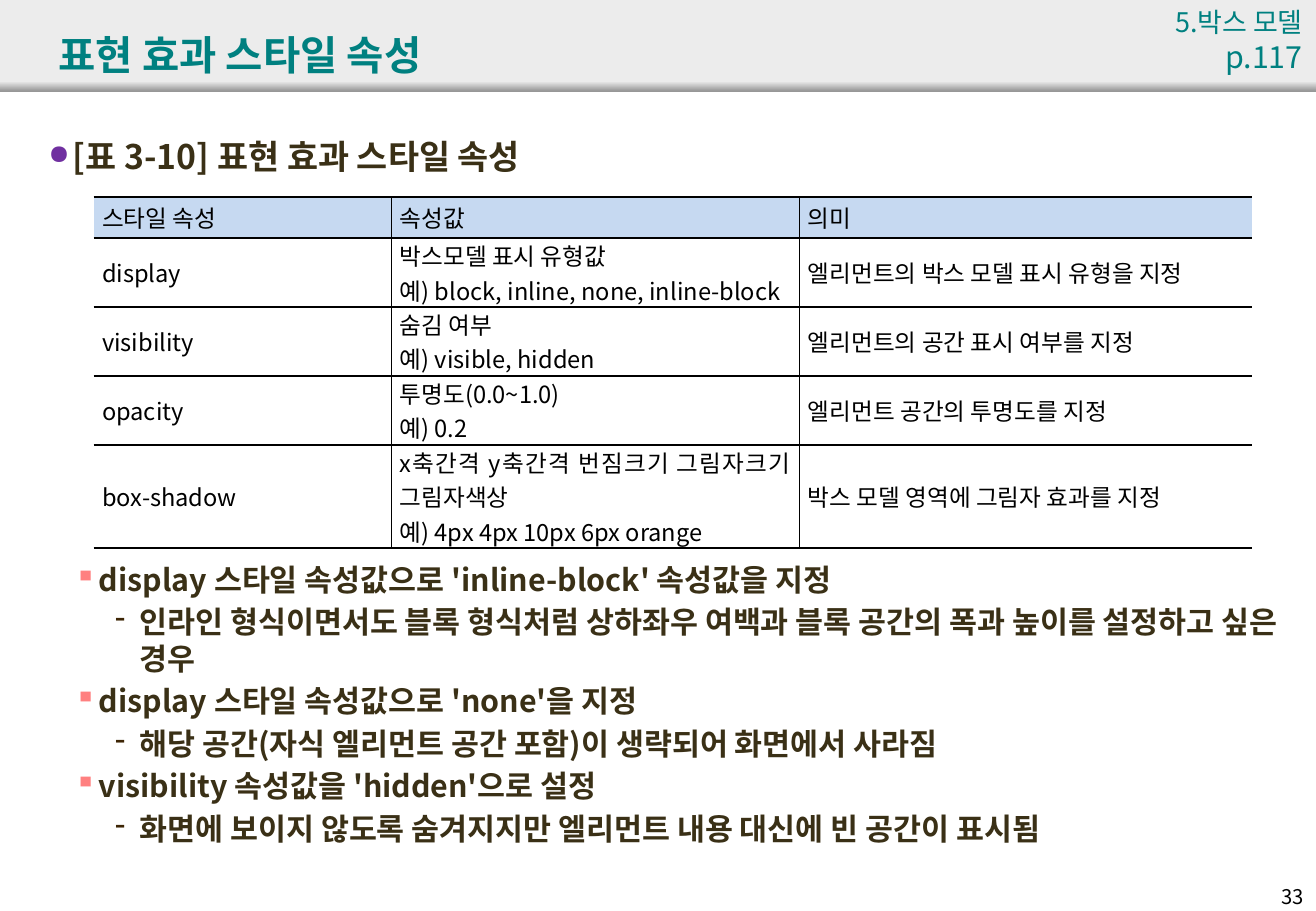
from dataclasses import dataclass

import pptx
import pptx.dml.color
import pptx.enum.shapes
import pptx.enum.text
import pptx.oxml.ns
import pptx.util
from lxml import etree

FONT = "Noto Sans CJK KR"
TEAL, BROWN, BLACK = "008080", "3A3016", "000000"
BAND_GREY, BAND_SHADE, HEADER_BLUE = "ECECEC", "979797", "C6D9F1"
ALIGN = pptx.enum.text.PP_ALIGN
MIDDLE = pptx.enum.text.MSO_ANCHOR.MIDDLE

SLIDE_WIDTH = pptx.util.Inches(10.83)
SLIDE_HEIGHT = pptx.util.Inches(7.5)


@dataclass
class Area:
    """A rectangle in percent of the slide's width and height."""
    left: float
    top: float
    width: float
    height: float


@dataclass
class Bullet:
    character: str
    color: str
    margin: float
    size: int
    percent: int = 100


@dataclass
class Line:
    text: str
    bullet: Bullet


HEADING = Bullet("●", "7030A0", 1.85, 20, 80)
POINT = Bullet("▪", "FF8080", 3.83, 18)
DETAIL = Bullet("-", "3D2505", 6.93, 18)
HANGING = 1.85

HEADING_LINES = [Line("[표 3-10] 표현 효과 스타일 속성", HEADING)]
DETAIL_LINES = [
    Line("display 스타일 속성값으로 'inline-block' 속성값을 지정", POINT),
    Line("인라인 형식이면서도 블록 형식처럼 상하좌우 여백과 블록 공간의 폭과 높이를 설정하고 싶은 경우", DETAIL),
    Line("display 스타일 속성값으로 'none'을 지정", POINT),
    Line("해당 공간(자식 엘리먼트 공간 포함)이 생략되어 화면에서 사라짐", DETAIL),
    Line("visibility 속성값을 'hidden'으로 설정", POINT),
    Line("화면에 보이지 않도록 숨겨지지만 엘리먼트 내용 대신에 빈 공간이 표시됨", DETAIL),
]

TABLE_COLUMNS = [22.62, 31.02, 34.35]
TABLE_ROWS = [4.53, 7.57, 7.57, 7.57, 11.34]
TABLE_TEXT = [
    ("스타일 속성", "속성값", "의미"),
    ("display", "박스모델 표시 유형값\n예) block, inline, none, inline-block",
     "엘리먼트의 박스 모델 표시 유형을 지정"),
    ("visibility", "숨김 여부\n예) visible, hidden", "엘리먼트의 공간 표시 여부를 지정"),
    ("opacity", "투명도(0.0~1.0)\n예) 0.2", "엘리먼트 공간의 투명도를 지정"),
    ("box-shadow", "x축간격 y축간격 번짐크기 그림자크기 그림자색상\n예) 4px 4px 10px 6px orange",
     "박스 모델 영역에 그림자 효과를 지정"),
]


def across(percent: float) -> int:
    return round(SLIDE_WIDTH * percent / 100)


def down(percent: float) -> int:
    return round(SLIDE_HEIGHT * percent / 100)


def box(area: Area) -> tuple[int, int, int, int]:
    return across(area.left), down(area.top), across(area.width), down(area.height)


def rgb(color: str) -> pptx.dml.color.RGBColor:
    return pptx.dml.color.RGBColor.from_string(color)


def add_element(parent, tag: str, **attributes: str):
    return etree.SubElement(parent, pptx.oxml.ns.qn(tag), attributes)


def format_paragraph(paragraph, size: float, color: str, bold: bool = False,
                     alignment=ALIGN.LEFT) -> None:
    """Format every run, with pair kerning off."""
    paragraph.alignment = alignment
    for run in paragraph.runs:
        run.font.size = pptx.util.Pt(size)
        run.font.bold = bold
        run.font.name = FONT
        run.font.color.rgb = rgb(color)
        run.font._element.set("kern", "0")
        add_element(run.font._element, "a:ea", typeface=FONT)


def add_band(slide, area: Area, shaded: bool) -> None:
    band = slide.shapes.add_shape(pptx.enum.shapes.MSO_SHAPE.RECTANGLE, *box(area))
    band.shadow.inherit = False
    band.line.fill.background()
    if shaded:
        band.fill.gradient()
        band.fill.gradient_angle = 270
        for stop, color in zip(band.fill.gradient_stops, (BAND_GREY, BAND_SHADE)):
            stop.color.rgb = rgb(color)
    else:
        band.fill.solid()
        band.fill.fore_color.rgb = rgb(BAND_GREY)


def add_text(slide, area: Area, text: str):
    frame = slide.shapes.add_textbox(*box(area)).text_frame
    frame.word_wrap = True
    frame.text = text
    return frame


def add_bullets(slide, area: Area, lines: list[Line]) -> None:
    frame = add_text(slide, area, "\n".join(line.text for line in lines))
    for paragraph, line in zip(frame.paragraphs, lines):
        bullet = line.bullet
        format_paragraph(paragraph, bullet.size, BROWN, bold=True)
        if line is not lines[0]:
            paragraph.space_before = pptx.util.Pt(3.6)
        properties = paragraph._p.get_or_add_pPr()
        properties.set("marL", str(across(bullet.margin)))
        properties.set("indent", str(-across(HANGING)))
        add_element(add_element(properties, "a:buClr"), "a:srgbClr", val=bullet.color)
        add_element(properties, "a:buSzPct", val=str(bullet.percent * 1000))
        add_element(properties, "a:buChar", char=bullet.character)


def set_borders(cell, open_sides: set[str]) -> None:
    """Rule every side of the cell in black except the open ones."""
    properties = cell._tc.get_or_add_tcPr()
    for position, side in enumerate(("lnL", "lnR", "lnT", "lnB")):
        border = add_element(properties, f"a:{side}", w=str(pptx.util.Pt(1)))
        if side in open_sides:
            add_element(border, "a:noFill")
        else:
            add_element(add_element(border, "a:solidFill"), "a:srgbClr", val=BLACK)
        properties.insert(position, border)


def add_property_table(slide) -> None:
    area = Area(7.11, 21.6, sum(TABLE_COLUMNS), sum(TABLE_ROWS))
    table = slide.shapes.add_table(len(TABLE_ROWS), len(TABLE_COLUMNS), *box(area)).table
    table.first_row = table.horz_banding = False
    for column, width in zip(table.columns, TABLE_COLUMNS):
        column.width = across(width)
    for row, height, texts in zip(table.rows, TABLE_ROWS, TABLE_TEXT):
        row.height = down(height)
        for index, (cell, text) in enumerate(zip(row.cells, texts)):
            cell.text_frame.text = text
            cell.vertical_anchor = MIDDLE
            cell.margin_left = cell.margin_right = pptx.util.Inches(0.07)
            cell.margin_top = cell.margin_bottom = 0
            for paragraph in cell.text_frame.paragraphs:
                format_paragraph(paragraph, 14, BLACK, alignment=ALIGN.JUSTIFY)
            if texts is TABLE_TEXT[0]:
                cell.fill.solid()
                cell.fill.fore_color.rgb = rgb(HEADER_BLUE)
            else:
                cell.fill.background()
            set_borders(cell, {0: {"lnL"}, len(texts) - 1: {"lnR"}}.get(index, set()))


def place_title(slide) -> None:
    title = slide.shapes.title
    title.left, title.top, title.width, title.height = box(Area(3.51, 1.73, 91.6, 8.4))
    title.text_frame.text = "표현 효과 스타일 속성"
    title.text_frame.vertical_anchor = MIDDLE
    format_paragraph(title.text_frame.paragraphs[0], 24, TEAL, bold=True)
    slide.shapes._spTree.append(title._element)


def main() -> None:
    presentation = pptx.Presentation()
    presentation.slide_width = SLIDE_WIDTH
    presentation.slide_height = SLIDE_HEIGHT
    slide = presentation.slides.add_slide(presentation.slide_layouts[5])

    add_band(slide, Area(0, 0, 100, 10), shaded=False)
    add_band(slide, Area(0, 8.93, 100, 1.07), shaded=True)
    place_title(slide)
    chapter = add_text(slide, Area(85.87, 0, 14.03, 10), "5.박스 모델\np.117")
    for paragraph, size in zip(chapter.paragraphs, (16, 18)):
        format_paragraph(paragraph, size, TEAL, alignment=ALIGN.RIGHT)
    add_bullets(slide, Area(2.77, 14.27, 95.29, 6), HEADING_LINES)
    add_property_table(slide)
    add_bullets(slide, Area(2.77, 60.9, 95.29, 36), DETAIL_LINES)
    page_number = add_text(slide, Area(95.11, 96.4, 4.89, 3.6), "33")
    format_paragraph(page_number.paragraphs[0], 12, BLACK, alignment=ALIGN.RIGHT)
    presentation.save("out.pptx")


if __name__ == "__main__":
    main()
